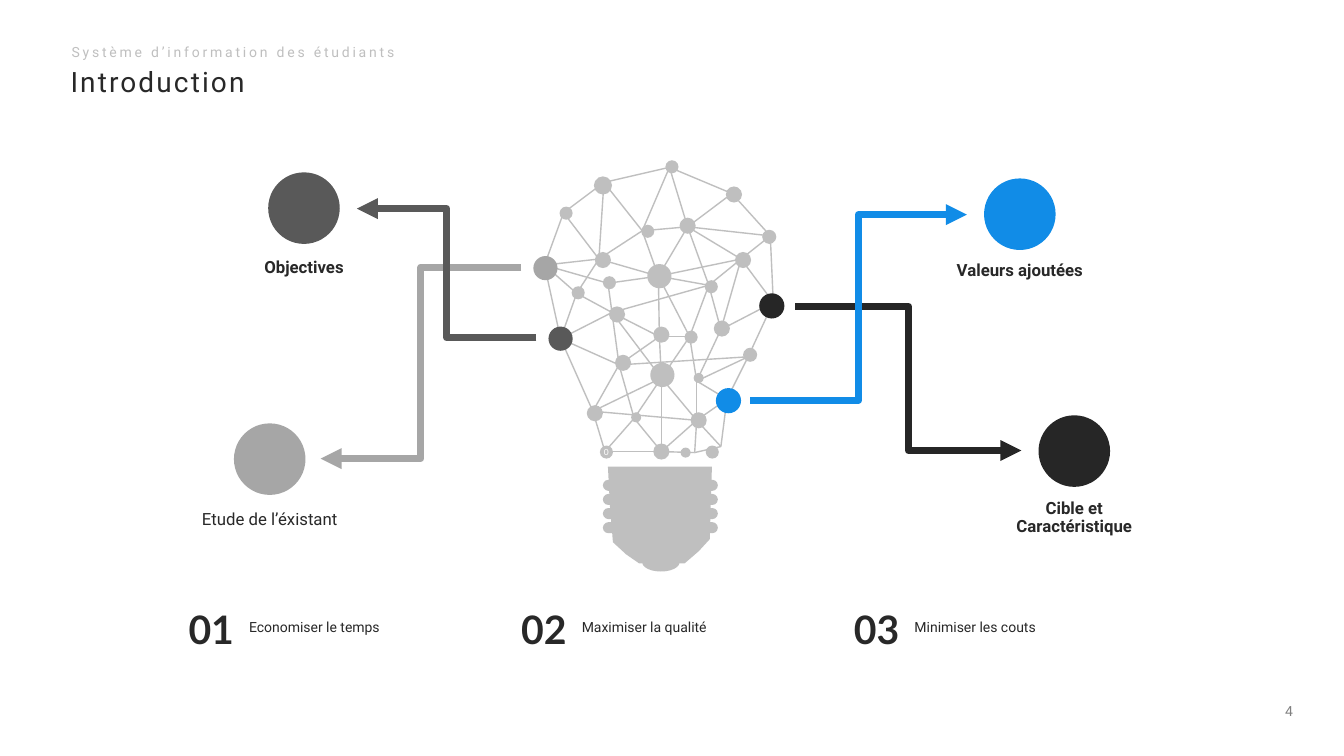
from dataclasses import dataclass
from typing import Any

from pptx import Presentation
from pptx import util as u
from pptx.dml.color import RGBColor
from pptx.enum import shapes, text
from pptx.oxml.ns import qn
from lxml import etree


@dataclass(frozen=True)
class Theme:
    ink: str = "282828"
    black: str = "262626"
    dark: str = "595959"
    mid: str = "A6A6A6"
    light: str = "BFBFBF"
    page: str = "808080"
    blue: str = "118CE7"
    white: str = "FFFFFF"
    body: str = "Roboto"
    digits: str = "Lato"
    title: float = 20
    label: float = 12
    small: float = 10
    number: float = 28
    tiny: float = 6
    wire: float = 1
    arrow: float = 5


T = Theme()


@dataclass(frozen=True)
class Node:
    """Joint where wires meet (x, y) and the dot drawn over it."""
    x: float
    y: float
    left: float = 0
    top: float = 0
    size: float = 0
    color: str = T.light


@dataclass(frozen=True)
class Topic:
    caption: str
    left: float
    top: float
    caption_top: float
    color: str
    start: tuple[float, float]
    end: tuple[float, float]
    bold: bool = True


NODES = {
    "A": Node(7.64, 2.34, 7.56, 2.28, 0.14), "B": Node(5.99, 1.81, 5.89, 1.75, 0.18),
    "C": Node(7.42, 3.54, 7.37, 3.45, 0.14), "D": Node(6.64, 1.66, 6.6, 1.59, 0.13),
    "E": Node(7.15, 4.43, 7, 4.42, 0.13), "F": Node(5.59, 2.11, 5.55, 2.05, 0.13),
    "G": Node(7.26, 1.92, 7.2, 1.85, 0.16), "H": Node(6, 4.48, 5.95, 4.42, 0.13),
    "I": Node(5.88, 4.08, 5.82, 4.02, 0.16), "J": Node(6.53, 2.74, 6.42, 2.62, 0.24),
    "K": Node(6.07, 3.1, 6.04, 3.04, 0.16), "L": Node(6.03, 2.81, 5.98, 2.74, 0.13),
    "M": Node(6.84, 3.34, 6.79, 3.28, 0.13), "N": Node(7.03, 2.83, 6.99, 2.78, 0.13),
    "O": Node(6.37, 2.29, 6.36, 2.23, 0.13), "P": Node(6.89, 4.49, 6.75, 4.44, 0.1),
    "Q": Node(6.56, 4.48, 6.48, 4.4, 0.16), "R": Node(6.91, 4.17, 6.85, 4.09, 0.16),
    "S": Node(6.56, 3.75, 6.45, 3.6, 0.24), "T": Node(6.54, 3.34, 6.48, 3.24, 0.16),
    "U": Node(5.72, 2.91, 5.67, 2.84, 0.13), "V": Node(5.94, 2.57, 5.9, 2.5, 0.16),
    "W": Node(6.82, 2.25, 6.74, 2.16, 0.16), "X": Node(7.35, 2.57, 7.29, 2.5, 0.16),
    "Y": Node(7.15, 3.27, 7.08, 3.18, 0.16), "Z": Node(6.14, 3.62, 6.1, 3.52, 0.16),
    "a": Node(6.91, 3.78, 6.88, 3.7, 0.1), "b": Node(6.29, 4.15, 6.26, 4.09, 0.1),
    "c": Node(7.67, 3, 7.53, 2.91, 0.25, T.black),
    "d": Node(7.21, 3.96, 7.1, 3.85, 0.25, T.blue),
    "e": Node(5.56, 3.36, 5.44, 3.24, 0.24, T.dark),
    "f": Node(5.4, 2.63, 5.29, 2.54, 0.24, T.mid),
}

# Each pair of letters is a wire between two nodes
WIRES = """Yc eI KZ cC Cd Ya dE IH Ac GA DG BD FB Ff fe fV UV fL eU fU LK VF BV VO BO DO
DW GW AW JM JW OW WX AX Xc NX WN JO LJ VJ JX JN KU eK eZ IZ bZ Hb bQ QS JT KS ST NY YX
MN KN RS QR ad aR Ma ZT KT TM SM bS IS IR Ca ZC HQ QP PE RP RE Rd""".split()

BASE = [(6.03, 4.63), (7.06, 4.63), (7.06, 4.68), (7.05, 5), (7.04, 5.35), (6.93, 5.47),
        (6.79, 5.59), (6.34, 5.59), (6.21, 5.5), (6.08, 5.38), (6.05, 5.02)]

TOPICS = [
    Topic("Objectives", 2.66, 1.71, 2.57, T.dark, (5.32, 3.35), (3.54, 2.07)),
    Topic("Valeurs ajoutées", 9.76, 1.77, 2.6, T.blue, (7.44, 3.97), (9.59, 2.13)),
    Topic("Etude de l’éxistant", 2.32, 4.2, 5.07, T.mid, (5.17, 2.65), (3.18, 4.55), False),
    Topic("Cible et Caractéristique", 10.3, 4.12, 4.96, T.black, (7.89, 3.04), (10.13, 4.47)),
]
ARROW_ORDER = [2, 0, 3, 1]
STEPS = ["Economiser le temps", "Maximiser la qualité", "Minimiser les couts"]


def write(sp: Any, words: str, size: float, color: str = T.ink, font: str = T.body,
          bold: bool = False, align: Any = text.PP_ALIGN.LEFT, anchor: Any = text.MSO_ANCHOR.TOP,
          leading: float = 1, before: float = 0, tracking: float = 0) -> None:
    tf = sp.text_frame
    tf.word_wrap = True
    tf.vertical_anchor = anchor
    tf.margin_left = tf.margin_right = tf.margin_top = tf.margin_bottom = 0
    p = tf.paragraphs[0]
    p.alignment, p.line_spacing, p.space_before = align, leading, u.Pt(before)
    r = p.add_run()
    r.text = words
    p.font.name, p.font.size, p.font.bold = font, u.Pt(size), bold
    p.font.color.rgb = RGBColor.from_string(color)
    if tracking:
        r._r.get_or_add_rPr().set("spc", str(round(tracking * 100)))


def add_text(s: Any, x: float, y: float, w: float, h: float, words: str, size: float,
             **style: Any) -> None:
    write(s.shapes.add_textbox(*map(u.Inches, (x, y, w, h))), words, size, **style)


def paint(sp: Any, color: str) -> Any:
    sp.shadow.inherit = False
    sp.fill.solid()
    sp.fill.fore_color.rgb = RGBColor.from_string(color)
    sp.line.fill.background()
    return sp


def add_solid(parent: Any, kind: Any, x: float, y: float, w: float, h: float, color: str) -> Any:
    return paint(parent.shapes.add_shape(kind, *map(u.Inches, (x, y, w, h))), color)


def add_line(parent: Any, kind: Any, start: tuple[float, float], end: tuple[float, float],
             color: str, width: float, arrow: bool = False) -> None:
    cx = parent.shapes.add_connector(kind, *map(u.Inches, (*start, *end)))
    cx.line.color.rgb = RGBColor.from_string(color)
    cx.line.width = u.Pt(width)
    if arrow:
        etree.SubElement(cx.line._get_or_add_ln(), qn("a:tailEnd"), type="triangle")
    etree.SubElement(cx._element.spPr, qn("a:effectLst"))


def add_bulb(s: Any) -> None:
    oval = shapes.MSO_SHAPE.OVAL
    # Wires
    web = s.shapes.add_group_shape()
    for a, b in WIRES:
        start, end = NODES[a], NODES[b]
        add_line(web, shapes.MSO_CONNECTOR.STRAIGHT, (start.x, start.y), (end.x, end.y),
                 T.light, T.wire)
    # Dots
    dots = s.shapes.add_group_shape()
    for name, n in NODES.items():
        sp = add_solid(dots, oval, n.left, n.top, n.size, n.size, n.color)
        if name == "H":
            write(sp, "0", T.tiny, T.white, T.digits, align=text.PP_ALIGN.CENTER,
                  anchor=text.MSO_ANCHOR.MIDDLE)
    # Screw base
    base = s.shapes.add_group_shape()
    points = [(u.Inches(x), u.Inches(y)) for x, y in BASE]
    fb = base.shapes.build_freeform(*points[0])
    fb.add_line_segments(points[1:], close=True)
    paint(fb.convert_to_shape(), T.light)
    for i in range(4):
        ring = add_solid(base, shapes.MSO_SHAPE.ROUNDED_RECTANGLE, 5.98, 4.76 + 0.14 * i,
                         1.14, 0.11, T.light)
        ring.adjustments[0] = 0.5
    add_solid(base, oval, 6.37, 5.49, 0.37, 0.18, T.light)


def main() -> None:
    prs = Presentation()
    prs.slide_width, prs.slide_height = u.Inches(13.33), u.Inches(7.5)
    s = prs.slides.add_slide(prs.slide_layouts[6])
    center = text.PP_ALIGN.CENTER

    # Heading and page number
    add_text(s, 0.7, 0.68, 11.93, 0.33, "Introduction", T.title, leading=0.9, before=10,
             tracking=1.5)
    add_text(s, 0.71, 0.45, 11.93, 0.17, "Système d’information des étudiants", T.small,
             color=T.light, leading=0.9, before=10, tracking=2)
    add_text(s, 12.55, 6.84, 0.47, 0.43, "4", T.small, color=T.page, align=center,
             anchor=text.MSO_ANCHOR.MIDDLE)

    add_bulb(s)

    # Topics and their arrows
    for t in TOPICS:
        add_text(s, t.left - 0.47, t.caption_top, 1.65, 0.32, t.caption, T.label, bold=t.bold,
                 align=center, leading=0.9, before=7.5)
        add_solid(s, shapes.MSO_SHAPE.OVAL, t.left, t.top, 0.71, 0.71, t.color)
    for t in (TOPICS[i] for i in ARROW_ORDER):
        add_line(s, shapes.MSO_CONNECTOR.ELBOW, t.start, t.end, t.color, T.arrow, arrow=True)

    # Numbered goals
    for i, goal in enumerate(STEPS):
        x = 1.87 + 3.3 * i
        add_text(s, x + 0.6, 6.1, 2.39, 0.35, goal, T.small, leading=1.2, before=7.5)
        add_text(s, x, 6.06, 0.53, 0.39, f"{i + 1:02}", T.number, font=T.digits, bold=True,
                 leading=0.9, before=7.5)

    prs.save("out.pptx")


if __name__ == "__main__":
    main()
